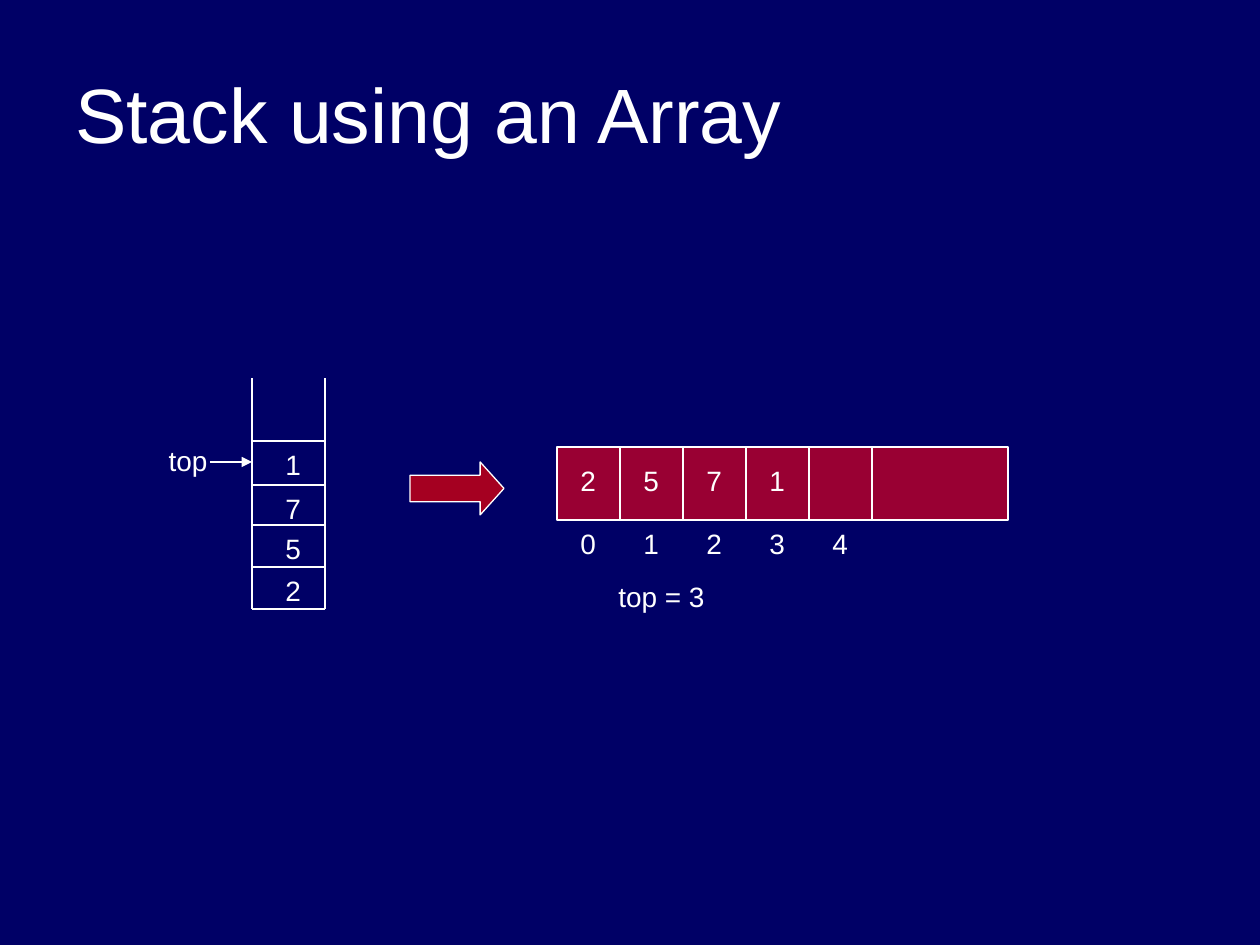
"""Build a slide that shows a stack stored in an array."""
from dataclasses import dataclass

from pptx import Presentation
from pptx.dml.color import RGBColor
from pptx.enum.shapes import MSO_CONNECTOR, MSO_SHAPE
from pptx.enum.text import MSO_ANCHOR, PP_ALIGN
from pptx.oxml.ns import qn
from pptx.util import Emu, Pt
from lxml import etree

LINE = MSO_CONNECTOR.STRAIGHT
RECT, ARROW = MSO_SHAPE.RECTANGLE, MSO_SHAPE.RIGHT_ARROW
LEFT, CENTER = PP_ALIGN.LEFT, PP_ALIGN.CENTER
TOP, MIDDLE = MSO_ANCHOR.TOP, MSO_ANCHOR.MIDDLE
SCALE = 914400 / 126


def px(n):
    return Emu(round(n * SCALE))


@dataclass(frozen=True)
class Theme:
    back: str = "000066"
    ink: str = "FFFFFF"
    arrow: str = "A50021"
    array: str = "990033"
    font: str = "Arial"
    title: int = 44
    body: int = 16
    stroke: float = 0.75


def write(frame, text, *, theme, size, align=CENTER, anchor=TOP, wrap=False):
    frame.word_wrap = wrap
    frame.vertical_anchor = anchor
    para = frame.paragraphs[0]
    para.alignment = align
    run = para.add_run()
    run.text = text
    run.font.name = theme.font
    run.font.size = Pt(size)
    run.font.color.rgb = RGBColor.from_string(theme.ink)


class Board:
    def __init__(self, slide, theme):
        self.slide, self.theme = slide, theme
        fill = slide.background.fill
        fill.solid()
        fill.fore_color.rgb = RGBColor.from_string(theme.back)

    def stroke(self, line):
        line.color.rgb = RGBColor.from_string(self.theme.ink)
        line.width = Pt(self.theme.stroke)

    def text(self, text, x, y, w=40, h=47, size=None, **style):
        box = self.slide.shapes.add_textbox(px(x), px(y), px(w), px(h))
        write(box.text_frame, text, theme=self.theme,
              size=size or self.theme.body, **style)

    def line(self, x1, y1, x2, y2, head=False):
        link = self.slide.shapes.add_connector(LINE, px(x1), px(y1), px(x2), px(y2))
        self.stroke(link.line)
        if head:
            etree.SubElement(link.line._get_or_add_ln(), qn("a:tailEnd"), type="triangle")
        etree.SubElement(link._element.spPr, qn("a:effectLst"))

    def shape(self, kind, x, y, w, h, color):
        item = self.slide.shapes.add_shape(kind, px(x), px(y), px(w), px(h))
        item.shadow.inherit = False
        item.fill.solid()
        item.fill.fore_color.rgb = RGBColor.from_string(color)
        self.stroke(item.line)
        return item


def draw_stack(board):
    left, right, top, base = 252, 325, 378, 609
    for x in (left, right):
        board.line(x, top, x, base)
    board.line(left, base, right, base)
    for value, y in zip("1752", (441, 485, 525, 567)):
        board.line(left, y, right, y)
        board.text(value, left + 21, y)
    board.text("top", 156, 437, w=64)
    board.line(210, 462, left, 462, head=True)


def draw_array(board):
    left, top, width, height, step = 557, 447, 451, 73, 63
    board.shape(RECT, left, top, width, height, board.theme.array)
    for i in range(5):
        x = left + i * step
        board.line(x + step, top, x + step, top + height)
        board.text(str(i), x + 11, top + height)
    for i, value in enumerate("2571"):
        board.text(value, left + i * step + 11, top + 10)
    board.text("top = 3", 606, 573, w=111)


def main():
    deck = Presentation()
    deck.slide_width, deck.slide_height = px(1260), px(945)
    theme = Theme()
    board = Board(deck.slides.add_slide(deck.slide_layouts[6]), theme)
    board.text("Stack using an Array", 63, 50, w=1134, h=126, size=theme.title,
               align=LEFT, anchor=MIDDLE, wrap=True)
    draw_stack(board)
    arrow = board.shape(ARROW, 410, 462, 94, 53, theme.arrow)
    arrow.adjustments[1] = 0.45
    draw_array(board)
    deck.save("out.pptx")


if __name__ == "__main__":
    main()
